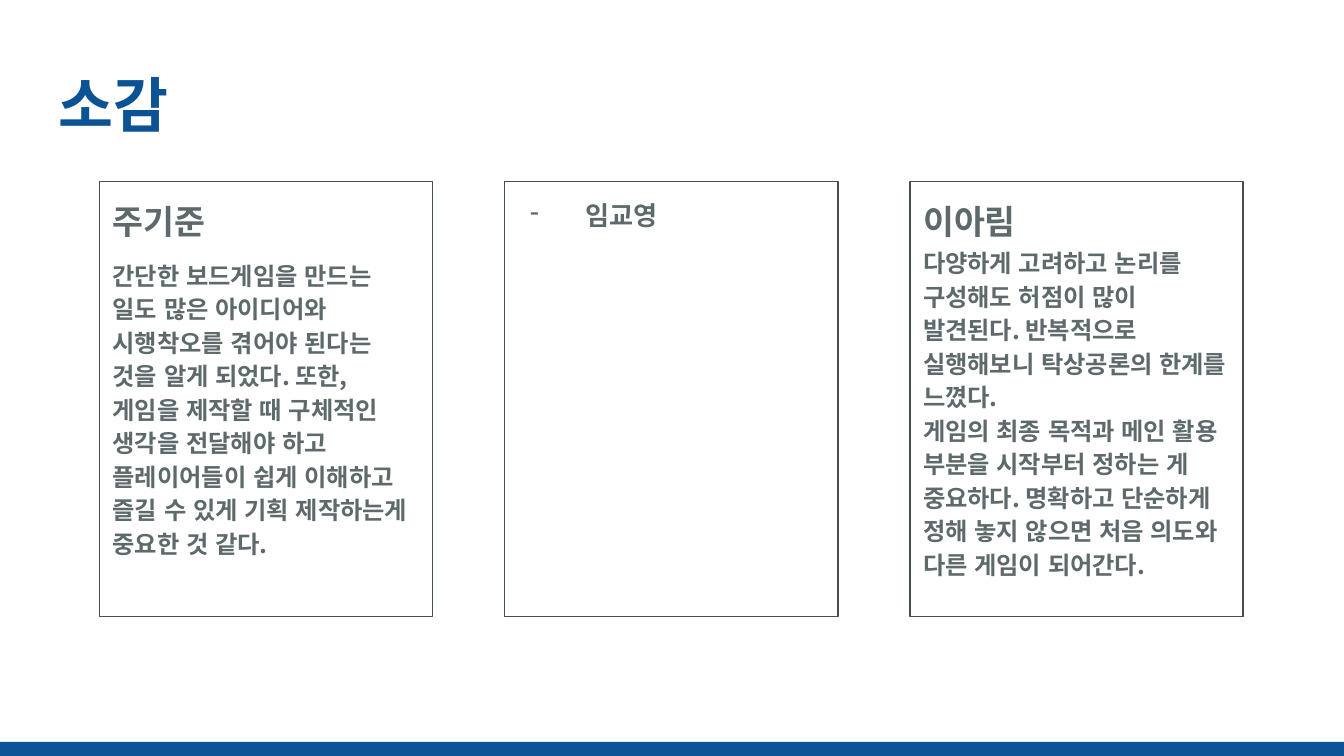
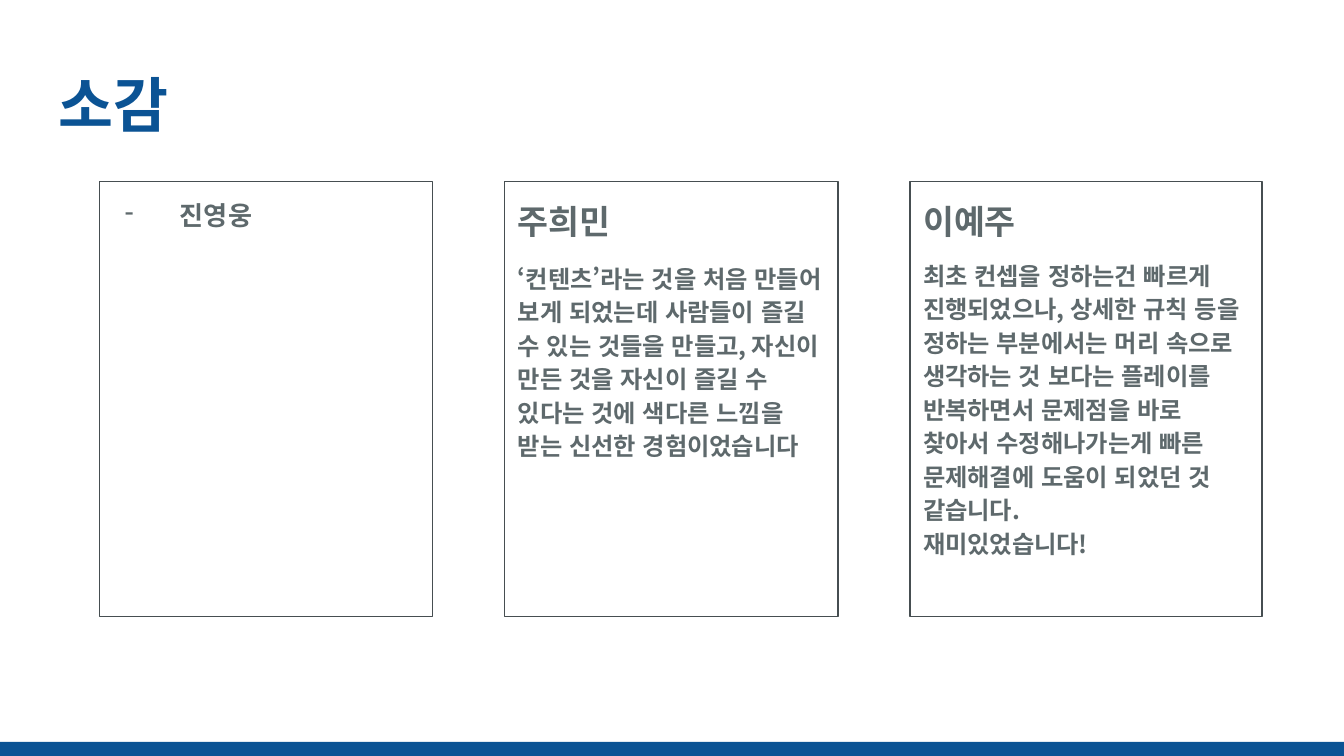
from lxml import etree
from pptx import Presentation
from pptx import util as u
from pptx.dml.color import RGBColor
from pptx.enum import lang, shapes, text
from pptx.oxml import ns

COLORS = {"blue": "0B5394", "gray": "5E696C", "edge": "464E51"}
FONT = "Noto Sans CJK KR"
LEFT, STEP, WIDE = 0.74, 3.015, 2.48

# Each card: name, body paragraphs, gap after the name (pt), width.
# A card without body shows its name as a dashed item.
PAGES = [
    [
        ("주기준", [
            "간단한 보드게임을 만드는 일도 많은 아이디어와 시행착오를 겪어야 된다는 것을 알게 되었다. "
            "또한, 게임을 제작할 때 구체적인 생각을 전달해야 하고 플레이어들이 쉽게 이해하고 "
            "즐길 수 있게 기획 제작하는게 중요한 것 같다.",
        ], 8.3, WIDE),
        ("임교영", [], 0, WIDE),
        ("이아림", [
            "다양하게 고려하고 논리를 구성해도 허점이 많이 발견된다. "
            "반복적으로 실행해보니 탁상공론의 한계를 느꼈다.",
            "게임의 최종 목적과 메인 활용 부분을 시작부터 정하는 게 중요하다. "
            "명확하고 단순하게 정해 놓지 않으면 처음 의도와 다른 게임이 되어간다.",
        ], 1.7, WIDE),
    ],
    [
        ("진영웅", [], 0, WIDE),
        ("주희민", [
            "‘컨텐츠’라는 것을 처음 만들어 보게 되었는데 사람들이 즐길 수 있는 것들을 만들고, "
            "자신이 만든 것을 자신이 즐길 수 있다는 것에 색다른 느낌을 받는 신선한 경험이었습니다",
        ], 10, WIDE),
        ("이예주", [
            "최초 컨셉을 정하는건 빠르게 진행되었으나, 상세한 규칙 등을 정하는 부분에서는 "
            "머리 속으로 생각하는 것 보다는 플레이를 반복하면서 문제점을 바로 찾아서 "
            "수정해나가는게 빠른 문제해결에 도움이 되었던 것 같습니다.",
            "재미있었습니다!",
        ], 8.3, 2.62),
    ],
]


def color(name):
    return RGBColor.from_string(COLORS[name])


class Deck:
    def __init__(self):
        self.prs = Presentation()
        self.prs.slide_width = u.Inches(10)
        self.prs.slide_height = u.Inches(5.625)
        self.slide = None

    def page(self, title):
        """Start a slide with its title and bottom band."""
        self.slide = self.prs.slides.add_slide(self.prs.slide_layouts[6])
        band = self.rect(0, 5.52, 10, 0.11)
        band.fill.solid()
        band.fill.fore_color.rgb = color("blue")
        band.line.fill.background()
        box = self.slide.shapes.add_textbox(
            *map(u.Inches, (0.34, 0.43, 9.32, 0.68)))
        frame = self.frame(box, text.MSO_ANCHOR.MIDDLE)
        frame.text = title
        self.style(frame.paragraphs[0], 32, "blue")

    def rect(self, *area):
        shape = self.slide.shapes.add_shape(
            shapes.MSO_SHAPE.RECTANGLE, *map(u.Inches, area))
        shape.shadow.inherit = False
        return shape

    def frame(self, shape, anchor):
        frame = shape.text_frame
        frame.word_wrap = True
        frame.vertical_anchor = anchor
        frame.margin_left = frame.margin_right = u.Inches(0.1)
        frame.margin_top = frame.margin_bottom = u.Inches(0.1)
        return frame

    def style(self, para, size, tint):
        para.alignment = text.PP_ALIGN.LEFT
        for run in para.runs:
            font = run.font
            font.size, font.bold, font.name = u.Pt(size), True, FONT
            font.color.rgb = color(tint)
            font.language_id = lang.MSO_LANGUAGE_ID.KOREAN
            east = etree.SubElement(font._element, ns.qn("a:ea"))
            east.set("typeface", FONT)

    def dash(self, para):
        props = para._p.get_or_add_pPr()
        props.set("marL", str(u.Inches(0.5)))
        props.set("indent", str(u.Inches(-0.41)))
        tint = etree.SubElement(props, ns.qn("a:buClr"))
        etree.SubElement(tint, ns.qn("a:srgbClr")).set("val", COLORS["gray"])
        etree.SubElement(props, ns.qn("a:buChar")).set("char", "-")

    def card(self, left, name, body, gap, width):
        box = self.rect(left, 1.35, width, 3.24)
        box.fill.background()
        box.line.color.rgb = color("edge")
        box.line.width = u.Pt(0.75)
        frame = self.frame(box, text.MSO_ANCHOR.TOP)
        frame.text = "\n".join([name, *body])
        head, *rest = frame.paragraphs
        if rest:
            rest[0].space_before = u.Pt(gap)
        else:
            self.dash(head)
        self.style(head, 18 if rest else 14, "gray")
        for para in rest:
            self.style(para, 13, "gray")
        for para in frame.paragraphs:
            para.line_spacing = 1.15


def main():
    deck = Deck()
    for cards in PAGES:
        deck.page("소감")
        for i, card in enumerate(cards):
            deck.card(LEFT + i * STEP, *card)
    deck.prs.save("out.pptx")


if __name__ == "__main__":
    main()
